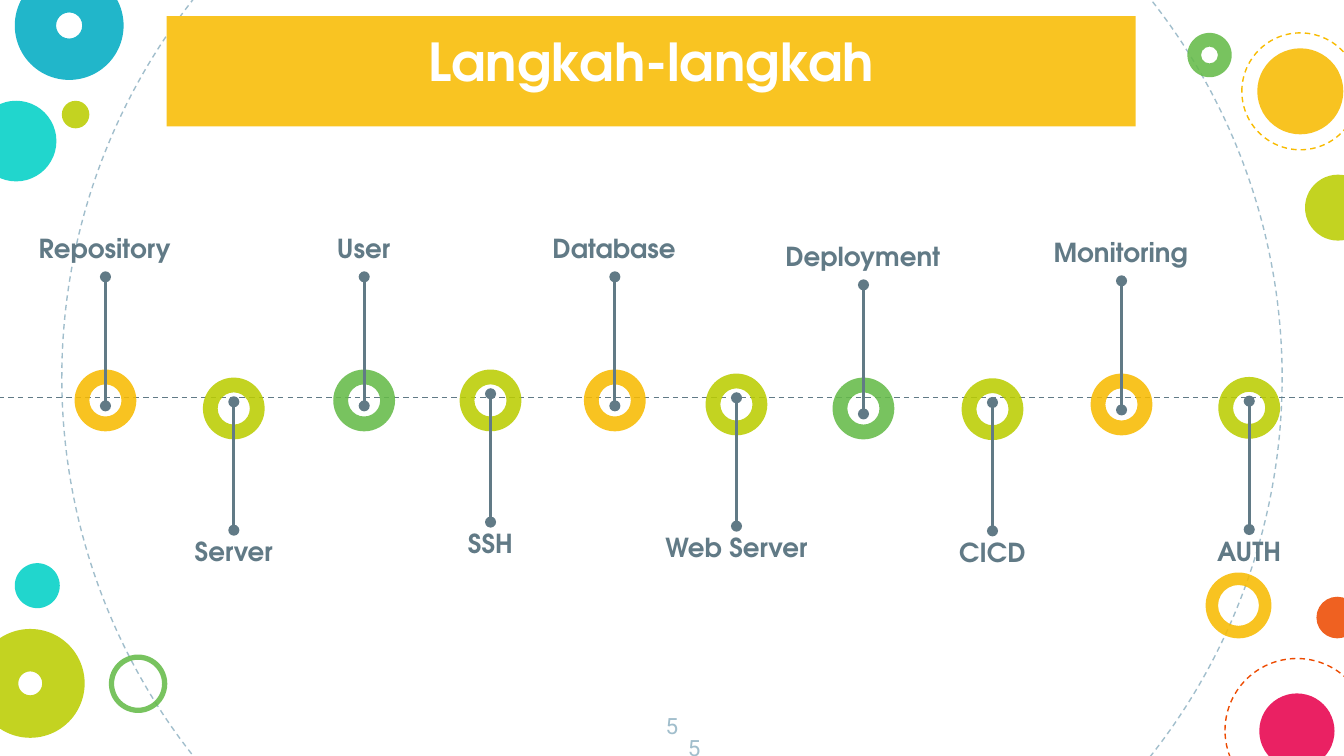
from dataclasses import dataclass
from typing import Optional

from lxml import etree
from pptx import Presentation
from pptx.dml.color import RGBColor
from pptx.enum.dml import MSO_LINE
from pptx.enum.shapes import MSO_CONNECTOR, MSO_SHAPE
from pptx.enum.text import MSO_ANCHOR, PP_ALIGN
from pptx.oxml.ns import qn
from pptx.util import Pt

PX = 4572  # EMU per px, 200 px to the inch
OVAL, DONUT, RECT = MSO_SHAPE.OVAL, MSO_SHAPE.DONUT, MSO_SHAPE.RECTANGLE
STRAIGHT, DASH = MSO_CONNECTOR.STRAIGHT, MSO_LINE.DASH
CENTER, TOP = PP_ALIGN.CENTER, MSO_ANCHOR.TOP


@dataclass(frozen=True)
class Theme:
    amber: str = "F8BB00"
    lime: str = "BBCD00"
    green: str = "65BB48"
    teal: str = "00D1C6"
    blue: str = "00ACC3"
    orange: str = "ED4A00"
    pink: str = "E8004C"
    slate: str = "617A86"
    mist: str = "A1BECC"
    banner: str = "F9C422"
    white: str = "FFFFFF"
    opacity: int = 87
    heading_font: str = "TeX Gyre Adventor"
    number_font: str = "Roboto"
    title_size: int = 28
    label_size: int = 14
    number_size: int = 12
    thin: float = 0.75
    thick: float = 1.5


T = Theme()


@dataclass(frozen=True)
class Circle:
    """A disc, a ring when hole is set, or a dashed outline."""
    x: int
    y: int
    size: int
    color: str
    hole: Optional[float] = None
    dashed: bool = False


@dataclass(frozen=True)
class Step:
    name: str
    cx: int
    y: int
    color: str


@dataclass(frozen=True)
class Side:
    """Offsets from a step's ring to its stem and label."""
    stem_from: int
    stem_to: int
    label_dx: int
    label_dy: int


DECOR = [
    Circle(92, -346, 1816, T.mist, dashed=True),
    Circle(-36, 150, 120, T.teal),
    Circle(1794, 852, 98, T.amber, 0.19),
    Circle(22, -43, 162, T.blue, 0.38),
    Circle(92, 150, 41, T.lime),
    Circle(1823, 980, 214, T.orange, dashed=True),
    Circle(162, 974, 87, T.green, 0.09),
    Circle(1959, 888, 62, T.orange),
    Circle(-36, 936, 162, T.lime, 0.39),
    Circle(1874, 1032, 112, T.pink),
    Circle(1767, 49, 66, T.green, 0.31),
    Circle(1871, 72, 128, T.amber),
    Circle(1942, 260, 98, T.lime),
    Circle(1848, 49, 174, T.amber, dashed=True),
    Circle(22, 838, 67, T.teal),
]

# Steps alternate: above the timeline, then below it.
STEPS = [
    Step("Repository", 157, 550, T.amber),
    Step("Server", 348, 562, T.lime),
    Step("User", 542, 550, T.green),
    Step("SSH", 730, 550, T.lime),
    Step("Database", 915, 550, T.amber),
    Step("Web Server", 1096, 556, T.lime),
    Step("Deployment", 1285, 562, T.green),
    Step("CICD", 1477, 563, T.lime),
    Step("Monitoring", 1669, 556, T.amber),
    Step("AUTH", 1859, 561, T.lime),
]
SIDES = [Side(54, -138, -137, -224), Side(36, 227, -136, 215)]
RING, RING_HOLE = 92, 0.24
NUMBERS = [(949, 1040), (982, 1072)]


def rgb(color: str) -> RGBColor:
    return RGBColor.from_string(color)


def draw_circle(s, c: Circle) -> None:
    kind = OVAL if c.hole is None else DONUT
    sp = s.shapes.add_shape(kind, c.x * PX, c.y * PX, c.size * PX, c.size * PX)
    sp.shadow.inherit = False
    if c.hole is not None:
        sp.adjustments[0] = c.hole
    if c.dashed:
        sp.fill.background()
        sp.line.color.rgb = rgb(c.color)
        sp.line.width = Pt(T.thin)
        sp.line.dash_style = DASH
        return
    sp.fill.solid()
    sp.fill.fore_color.rgb = rgb(c.color)
    sp.line.fill.background()
    clr = sp.element.spPr.find(qn("a:solidFill")).find(qn("a:srgbClr"))
    etree.SubElement(clr, qn("a:alpha"), val=str(T.opacity * 1000))


def draw_line(s, x1: int, y1: int, x2: int, y2: int, width: float,
              dashed: bool = False, dots: bool = False) -> None:
    line = s.shapes.add_connector(STRAIGHT, x1 * PX, y1 * PX, x2 * PX, y2 * PX)
    line.line.color.rgb = rgb(T.slate)
    line.line.width = Pt(width)
    if dashed:
        line.line.dash_style = DASH
    if dots:
        ln = line.get_or_add_ln()
        for end in ("a:headEnd", "a:tailEnd"):
            etree.SubElement(ln, qn(end), type="oval")
    etree.SubElement(line.element.spPr, qn("a:effectLst"))


def set_text(sp, text: str, size: int, font: str, color: str, bold: bool) -> None:
    tf = sp.text_frame
    tf.word_wrap = True
    tf.vertical_anchor = TOP
    tf.margin_left = tf.margin_right = tf.margin_top = tf.margin_bottom = 20 * PX
    tf.text = text
    p = tf.paragraphs[0]
    p.alignment = CENTER
    r = p.runs[0]
    r.font.size = Pt(size)
    r.font.name = font
    r.font.bold = bold
    r.font.color.rgb = rgb(color)


def draw_title(s, text: str) -> None:
    sp = s.shapes.add_shape(RECT, 248 * PX, 24 * PX, 1442 * PX, 164 * PX)
    sp.shadow.inherit = False
    sp.fill.solid()
    sp.fill.fore_color.rgb = rgb(T.banner)
    sp.line.fill.background()
    set_text(sp, text, T.title_size, T.heading_font, T.white, True)


def draw_step(s, step: Step, side: Side) -> None:
    draw_circle(s, Circle(step.cx - RING // 2, step.y, RING, step.color, RING_HOLE))
    draw_line(s, step.cx, step.y + side.stem_from, step.cx, step.y + side.stem_to,
              T.thick, dots=True)
    sp = s.shapes.add_textbox((step.cx + side.label_dx) * PX,
                              (step.y + side.label_dy) * PX, 272 * PX, 90 * PX)
    set_text(sp, step.name, T.label_size, T.heading_font, T.slate, True)


def draw_number(s, x: int, y: int) -> None:
    sp = s.shapes.add_textbox(x * PX, y * PX, 102 * PX, 86 * PX)
    set_text(sp, "5", T.number_size, T.number_font, T.mist, False)


def main() -> None:
    prs = Presentation()
    prs.slide_width, prs.slide_height = 2000 * PX, 1125 * PX
    s = prs.slides.add_slide(prs.slide_layouts[6])
    for circle in DECOR:
        draw_circle(s, circle)
    draw_title(s, "Langkah-langkah")
    draw_line(s, -2, 592, 2000, 592, T.thin, dashed=True)
    for i, step in enumerate(STEPS):
        draw_step(s, step, SIDES[i % 2])
    for x, y in NUMBERS:
        draw_number(s, x, y)
    prs.save("out.pptx")


if __name__ == "__main__":
    main()
